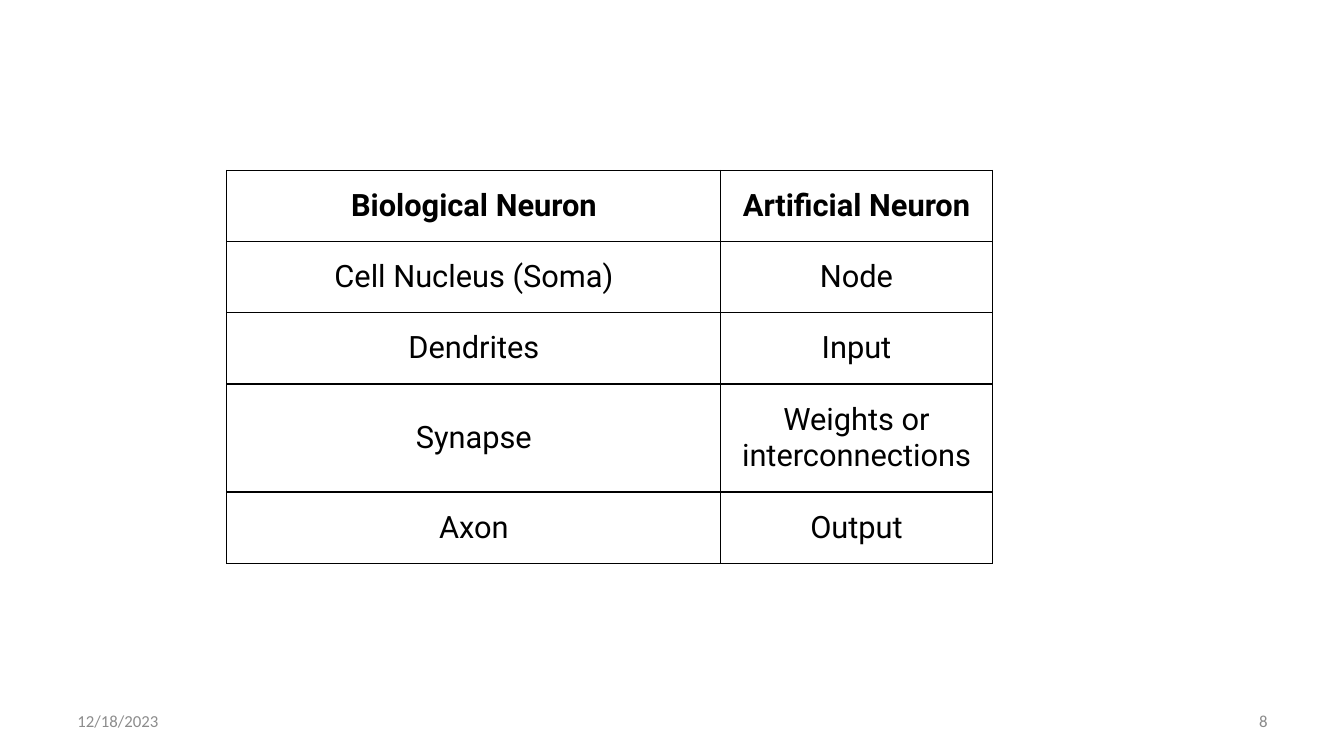
from lxml.etree import SubElement
from pptx import Presentation
from pptx.dml.color import RGBColor
from pptx.enum.text import MSO_ANCHOR, PP_ALIGN
from pptx.oxml.ns import qn
from pptx.util import Inches, Pt

COLORS = {"ink": "000000", "paper": "FFFFFF", "date": "8C8C8C", "number": "898989"}

NEURON_ROWS = [
    ("Biological Neuron", "Artificial Neuron"),
    ("Cell Nucleus (Soma)", "Node"),
    ("Dendrites", "Input"),
    ("Synapse", "Weights or interconnections"),
    ("Axon", "Output"),
]


class SlideBuilder:
    table_font = "Roboto"
    table_size = 22
    footer_font = "Calibri"
    footer_size = 12

    def __init__(self, page):
        self.page = page

    def add_span(self, para, text, font, size, color, bold=False):
        span = para.add_run()
        span.text = text
        span.font.name = font
        span.font.size = Pt(size)
        span.font.bold = bold
        span.font.color.rgb = RGBColor.from_string(COLORS[color])

    def add_footer(self, text, left, align, color):
        box = self.page.shapes.add_textbox(
            Inches(left), Inches(6.95), Inches(3.11), Inches(0.4)
        )
        frame = box.text_frame
        frame.word_wrap = True
        frame.vertical_anchor = MSO_ANCHOR.MIDDLE
        para = frame.paragraphs[0]
        para.alignment = align
        self.add_span(para, text, self.footer_font, self.footer_size, color)

    def add_borders(self, cell):
        properties = cell._tc.get_or_add_tcPr()
        for side in ("lnL", "lnR", "lnT", "lnB"):
            line = SubElement(properties, qn(f"a:{side}"), w=str(Pt(1)))
            fill = SubElement(line, qn("a:solidFill"))
            SubElement(fill, qn("a:srgbClr"), val=COLORS["ink"])

    def fill_cell(self, cell, text, bold):
        cell.margin_left = cell.margin_right = Inches(0.12)
        cell.margin_top = cell.margin_bottom = Inches(0.17)
        cell.vertical_anchor = MSO_ANCHOR.MIDDLE
        self.add_borders(cell)
        cell.fill.solid()
        cell.fill.fore_color.rgb = RGBColor.from_string(COLORS["paper"])
        para = cell.text_frame.paragraphs[0]
        para.alignment = PP_ALIGN.CENTER
        self.add_span(para, text, self.table_font, self.table_size, "ink", bold)

    def add_table(self, rows, left, top, widths, heights):
        table = self.page.shapes.add_table(
            len(rows), len(widths), Inches(left), Inches(top),
            Inches(sum(widths)), Inches(sum(heights)),
        ).table
        for column, width in zip(table.columns, widths):
            column.width = Inches(width)
        for index, (texts, height) in enumerate(zip(rows, heights)):
            table.rows[index].height = Inches(height)
            for position, text in enumerate(texts):
                self.fill_cell(table.cell(index, position), text, index == 0)


def main():
    deck = Presentation()
    deck.slide_width = Inches(13.33)
    deck.slide_height = Inches(7.5)
    page = deck.slides.add_slide(deck.slide_layouts[6])
    builder = SlideBuilder(page)
    builder.add_footer("12/18/2023", 0.67, PP_ALIGN.LEFT, "date")
    builder.add_footer("8", 9.56, PP_ALIGN.RIGHT, "number")
    builder.add_table(NEURON_ROWS, 2.25, 1.69, [4.9, 2.69], [0.7, 0.7, 0.7, 1.07, 0.7])
    deck.save("out.pptx")


if __name__ == "__main__":
    main()
